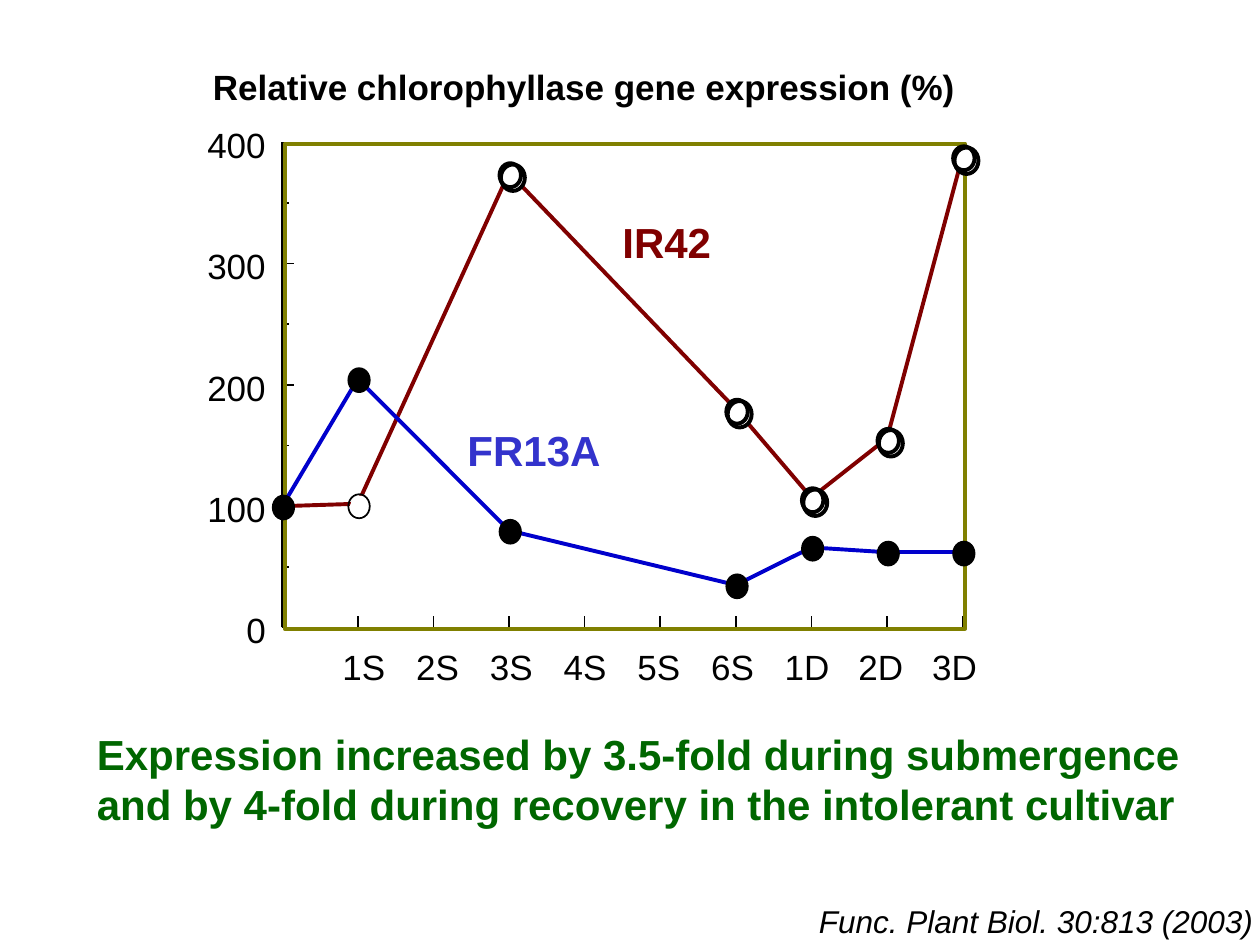
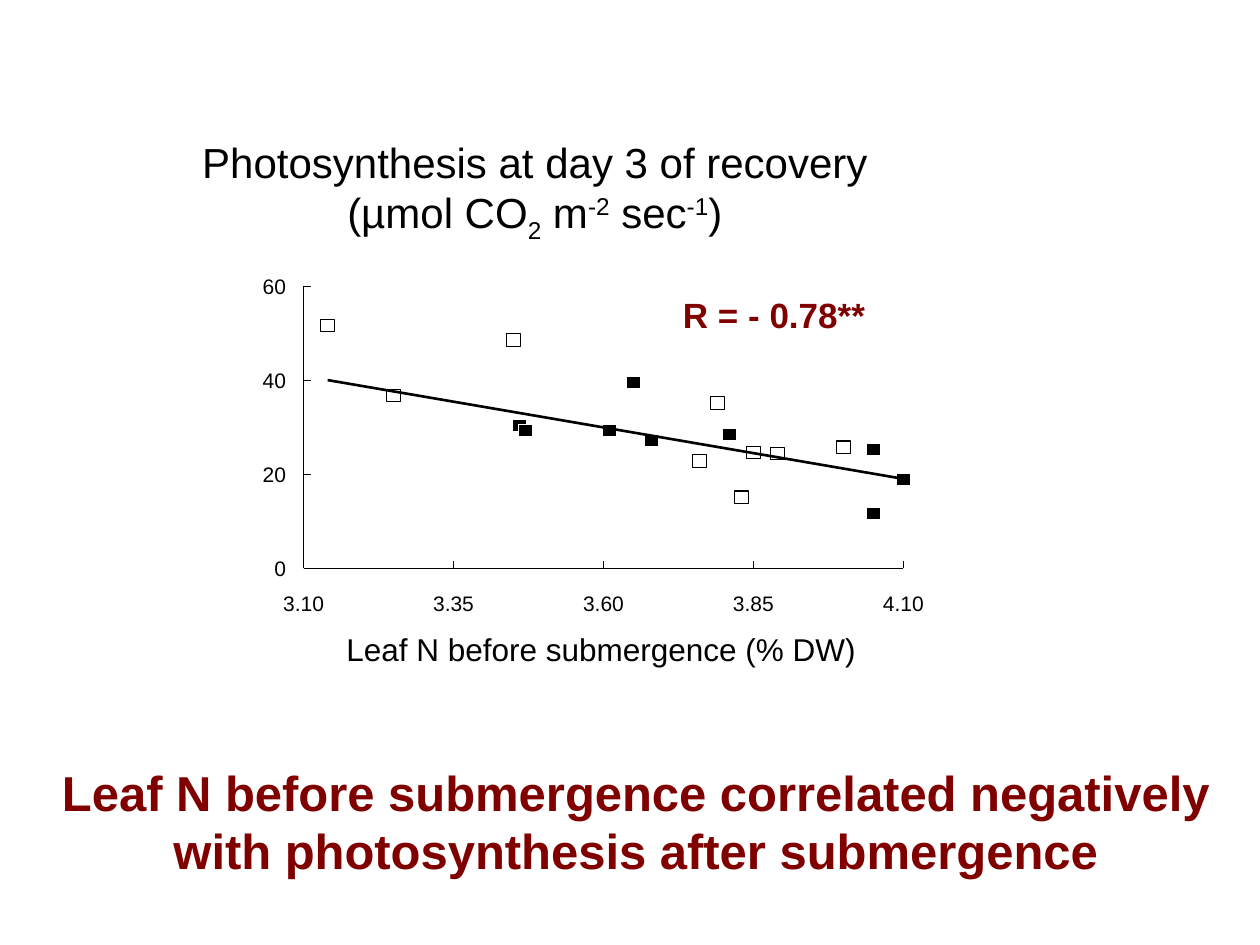
from dataclasses import dataclass

from lxml import etree
from pptx import Presentation
from pptx.dml.color import RGBColor
from pptx.enum.shapes import MSO_CONNECTOR, MSO_SHAPE
from pptx.enum.text import MSO_ANCHOR, MSO_AUTO_SIZE, PP_ALIGN
from pptx.oxml.ns import qn
from pptx.util import Inches, Pt

LEFT, CENTER, RIGHT = PP_ALIGN.LEFT, PP_ALIGN.CENTER, PP_ALIGN.RIGHT
TOP = MSO_ANCHOR.TOP
NO_AUTOFIT = MSO_AUTO_SIZE.NONE
STRAIGHT = MSO_CONNECTOR.STRAIGHT
OVAL, SQUARE = MSO_SHAPE.OVAL, MSO_SHAPE.RECTANGLE
TITLE_ONLY = 5


@dataclass(frozen=True)
class Theme:
    font: str = "Arial"
    black: str = "000000"
    white: str = "FFFFFF"
    maroon: str = "800000"
    olive: str = "808000"
    green: str = "006600"
    blue: str = "0000CC"
    violet: str = "3333CC"
    closing: int = 28
    heading: int = 24
    label: int = 20
    note: int = 18
    tick: int = 12
    hairline: float = 0.5
    thin: float = 0.75
    axis: float = 1
    trend: float = 1.5
    thick: float = 2.25


THEME = Theme()


@dataclass(frozen=True)
class Plot:
    """A plot area in inches with the value range of each axis."""
    left: float
    top: float
    width: float
    height: float
    x_range: tuple
    y_range: tuple

    @property
    def right(self):
        return self.left + self.width

    @property
    def bottom(self):
        return self.top + self.height

    def at(self, x, y):
        (x_low, x_high), (y_low, y_high) = self.x_range, self.y_range
        return (self.left + self.width * (x - x_low) / (x_high - x_low),
                self.bottom - self.height * (y - y_low) / (y_high - y_low))


GENE_PLOT = Plot(2.24, 1.13, 5.4, 3.85, (0, 9), (0, 400))
GENE_DAYS = ["1S", "2S", "3S", "4S", "5S", "6S", "1D", "2D", "3D"]
IR42 = [(0, 100), (1, 102), (3, 375), (6, 180), (7, 107), (8, 156), (9, 389)]
FR13A = [(0, 100), (1, 205), (3, 80), (6, 35), (7, 66), (8, 62), (9, 62)]

LEAF_PLOT = Plot(2.41, 2.27, 4.76, 2.24, (3.1, 4.1), (0, 60))
FILLED_POINTS = [(3.46, 30.3), (3.47, 29.2), (3.65, 39.4), (3.68, 27.1),
                 (3.81, 28.4), (3.61, 29.2), (4.05, 25.2), (4.05, 11.7),
                 (4.1, 18.8)]
OPEN_POINTS = [(3.83, 15.1), (3.76, 22.8), (3.89, 24.4), (3.85, 24.6),
               (4, 25.7), (3.79, 35.1), (3.25, 36.7), (3.45, 48.5),
               (3.14, 51.6)]
TREND = [(3.14, 40), (4.1, 19)]


def rgb(color):
    return RGBColor.from_string(color)


def format_text(frame, size, color=THEME.black, bold=False, italic=False,
                align=LEFT, inset=(0, 0)):
    frame.word_wrap = True
    frame.auto_size = NO_AUTOFIT
    frame.vertical_anchor = TOP
    frame.margin_left = frame.margin_right = Inches(inset[0])
    frame.margin_top = frame.margin_bottom = Inches(inset[1])
    for paragraph in frame.paragraphs:
        paragraph.alignment = align
        for run in paragraph.runs:
            font = run.font
            font.name, font.size = THEME.font, Pt(size)
            font.bold, font.italic = bold, italic
            font.color.rgb = rgb(color)


def add_text(slide, box, text, size, **style):
    frame = slide.shapes.add_textbox(*map(Inches, box)).text_frame
    frame.text = text
    format_text(frame, size, **style)
    return frame


def place_title(slide, box):
    title = slide.shapes.title
    title.left, title.top, title.width, title.height = map(Inches, box)
    return title.text_frame


def add_line(slide, start, end, color, width):
    line = slide.shapes.add_connector(STRAIGHT, *map(Inches, (*start, *end)))
    line.line.color.rgb = rgb(color)
    line.line.width = Pt(width)
    etree.SubElement(line._element.spPr, qn("a:effectLst"))


def add_outline(slide, kind, box, fill=None, line=None, width=THEME.axis):
    shape = slide.shapes.add_shape(kind, *map(Inches, box))
    shape.shadow.inherit = False
    if fill:
        shape.fill.solid()
        shape.fill.fore_color.rgb = rgb(fill)
    else:
        shape.fill.background()
    if line:
        shape.line.color.rgb = rgb(line)
        shape.line.width = Pt(width)
    else:
        shape.line.fill.background()


def add_marker(slide, kind, center, size, **look):
    (x, y), (width, height) = center, size
    add_outline(slide, kind, (x - width / 2, y - height / 2, width, height),
                **look)


def add_axes(slide, plot, x_ticks, y_ticks, width, tick_length):
    """Draws both axes; y_ticks holds pairs of value and tick length."""
    origin = (plot.left, plot.bottom)
    add_line(slide, origin, (plot.right, plot.bottom), THEME.black, width)
    add_line(slide, origin, (plot.left, plot.top), THEME.black, width)
    for value in x_ticks:
        x, y = plot.at(value, plot.y_range[0])
        add_line(slide, (x, y), (x, y - tick_length), THEME.black, width)
    for value, length in y_ticks:
        x, y = plot.at(plot.x_range[0], value)
        add_line(slide, (x, y), (x + length, y), THEME.black, width)


def add_y_labels(slide, plot, values, size, gap, height):
    label_width = 0.5
    for value in values:
        x, y = plot.at(plot.x_range[0], value)
        box = (x - gap - label_width, y - height / 2, label_width, height)
        add_text(slide, box, str(value), size, align=RIGHT)


def add_day_labels(slide, plot):
    inset, tab_span = 0.1, 4.68
    box = (plot.left + 0.38, plot.bottom + 0.09, 5.4, 0.44)
    frame = slide.shapes.add_textbox(*map(Inches, box)).text_frame
    paragraph = frame.paragraphs[0]
    paragraph.text = "\t".join(GENE_DAYS)
    tabs = etree.SubElement(paragraph._p.get_or_add_pPr(), qn("a:tabLst"))
    steps = len(GENE_DAYS) - 1
    for step in range(1, steps + 1):
        position = Inches(tab_span * step / steps)
        etree.SubElement(tabs, qn("a:tab"), pos=str(position), algn="l")
    format_text(frame, THEME.label, inset=(inset, 0.05))


def add_series_lines(slide, plot, points, color):
    for start, end in zip(points, points[1:]):
        add_line(slide, plot.at(*start), plot.at(*end), color, THEME.thick)


def add_open_circle(slide, center, width):
    """Draws a white disc with a slightly offset ring in front of it."""
    x, y = center
    disc_line = THEME.black if width == THEME.thick else None
    add_marker(slide, OVAL, (x + 0.03, y + 0.04), (0.19, 0.21),
               fill=THEME.white, line=disc_line, width=width)
    add_marker(slide, OVAL, (x + 0.01, y + 0.02), (0.17, 0.19),
               line=THEME.black, width=width)


def add_gene_chart(slide, plot):
    add_axes(slide, plot, range(10),
             [(value, 0.05 if value % 100 else 0.09)
              for value in range(0, 401, 50)], THEME.axis, 0.09)
    add_y_labels(slide, plot, range(0, 401, 100), THEME.label, 0.13, 0.3)
    add_day_labels(slide, plot)
    add_outline(slide, SQUARE,
                (plot.left + 0.02, plot.top + 0.01, plot.width, plot.height),
                line=THEME.olive, width=THEME.thick)

    add_series_lines(slide, plot, IR42, THEME.maroon)
    for index, point in enumerate(IR42[1:]):
        add_open_circle(slide, plot.at(*point),
                        THEME.thick if index else THEME.axis)
    add_series_lines(slide, plot, FR13A, THEME.blue)
    for point in FR13A:
        x, y = plot.at(*point)
        add_marker(slide, OVAL, (x + 0.01, y + 0.01), (0.17, 0.19),
                   fill=THEME.black, line=THEME.black)

    add_text(slide, (plot.left + 2.7, plot.top + 0.59, 0.8, 0.4), "IR42",
             THEME.heading, color=THEME.maroon, bold=True)
    add_text(slide, (plot.left + 1.47, plot.top + 2.24, 1.15, 0.4), "FR13A",
             THEME.heading, color=THEME.violet, bold=True)


def add_leaf_chart(slide, plot):
    x_values = [3.1, 3.35, 3.6, 3.85, 4.1]
    y_values = range(0, 61, 20)
    add_axes(slide, plot, x_values, [(value, 0.06) for value in y_values],
             THEME.hairline, 0.06)
    add_y_labels(slide, plot, y_values, THEME.tick, 0.14, 0.2)
    for value in x_values:
        x, y = plot.at(value, 0)
        add_text(slide, (x - 0.25, y + 0.18, 0.5, 0.22), f"{value:.2f}",
                 THEME.tick, align=CENTER)

    for points, fill, line in ((FILLED_POINTS, THEME.black, THEME.white),
                               (OPEN_POINTS, THEME.white, THEME.black)):
        for point in points:
            add_marker(slide, SQUARE, plot.at(*point), (0.11, 0.1),
                       fill=fill, line=line, width=THEME.thin)
    start, end = TREND
    add_line(slide, plot.at(*start), plot.at(*end), THEME.black, THEME.trend)

    add_text(slide, (plot.left + 3.01, plot.top + 0.06, 1.92, 0.33),
             "R = - 0.78**", THEME.label, color=THEME.maroon, bold=True)
    add_text(slide, (plot.left + 0.34, plot.bottom + 0.49, 4.2, 0.42),
             "Leaf N before submergence (% DW)", THEME.note)


def build_gene_slide(slide):
    title = place_title(slide, (1.69, 0.52, 6.06, 0.33))
    title.text = "Relative chlorophyllase gene expression (%)"
    format_text(title, THEME.label, bold=True)
    add_gene_chart(slide, GENE_PLOT)
    add_text(slide, (0.67, 5.73, 8.89, 0.9),
             "Expression increased by 3.5-fold during submergence "
             "and by 4-fold during recovery in the intolerant cultivar",
             THEME.heading, color=THEME.green, bold=True, inset=(0.1, 0.05))
    add_text(slide, (6.5, 7.16, 3.5, 0.3), "Func. Plant Biol. 30:813 (2003)",
             THEME.note, italic=True)


def build_leaf_slide(slide):
    title = place_title(slide, (1.58, 1.08, 5.33, 0.83))
    for text, baseline in (("Photosynthesis at day 3 of recovery (µmol CO", 0),
                           ("2", -25), (" m", 0), ("-2", 30), (" sec", 0),
                           ("-1", 30), (")", 0)):
        run = title.paragraphs[0].add_run()
        run.text = text
        if baseline:
            run._r.get_or_add_rPr().set("baseline", str(baseline * 1000))
    format_text(title, THEME.heading, align=CENTER)
    add_leaf_chart(slide, LEAF_PLOT)
    add_text(slide, (0.17, 6, 9.75, 1.04),
             "Leaf N before submergence correlated negatively "
             "with photosynthesis after submergence",
             THEME.closing, color=THEME.maroon, bold=True, align=CENTER,
             inset=(0.1, 0.05))


def main():
    deck = Presentation()
    deck.slide_width, deck.slide_height = Inches(10), Inches(7.5)
    for build in (build_gene_slide, build_leaf_slide):
        build(deck.slides.add_slide(deck.slide_layouts[TITLE_ONLY]))
    deck.save("out.pptx")


if __name__ == "__main__":
    main()
